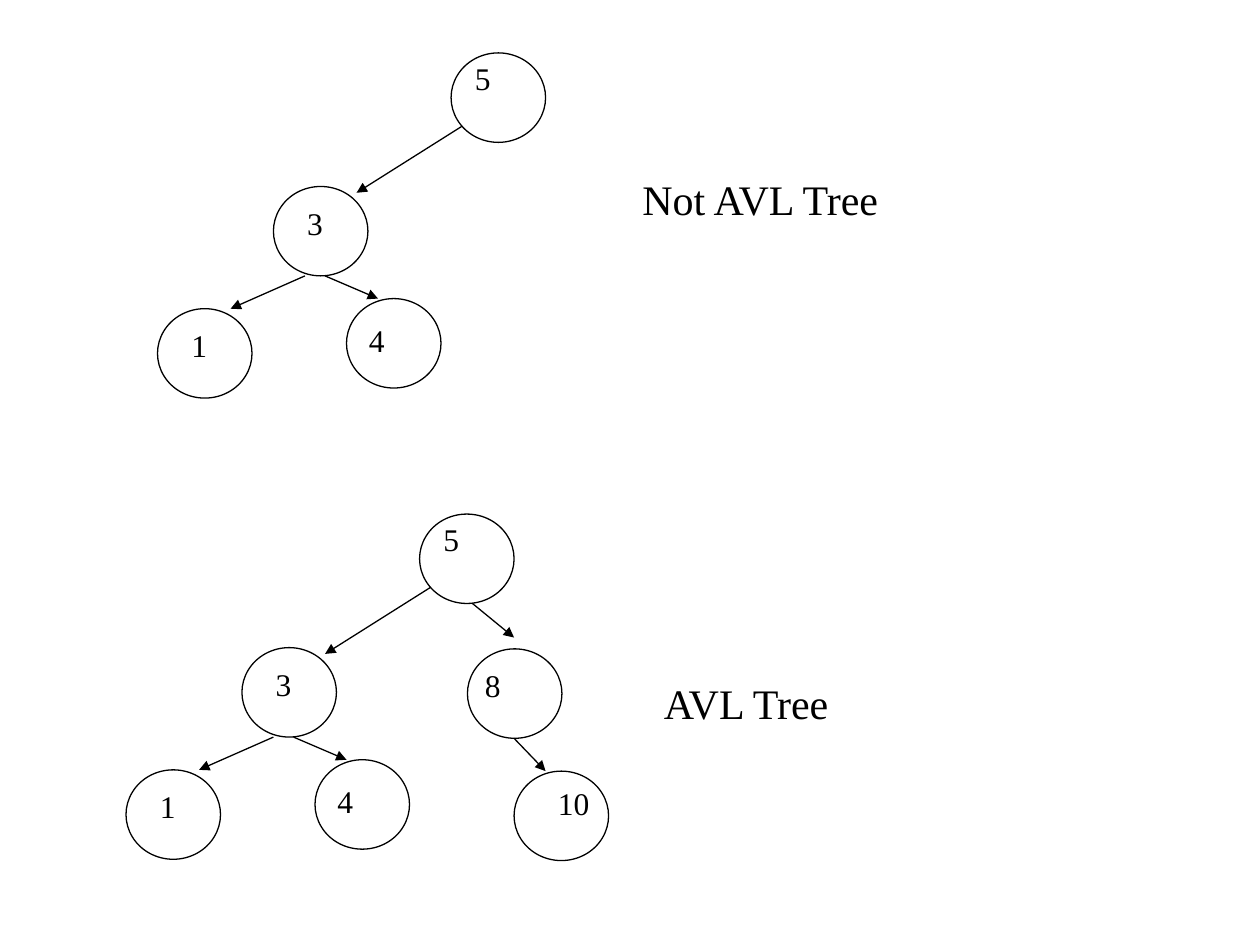
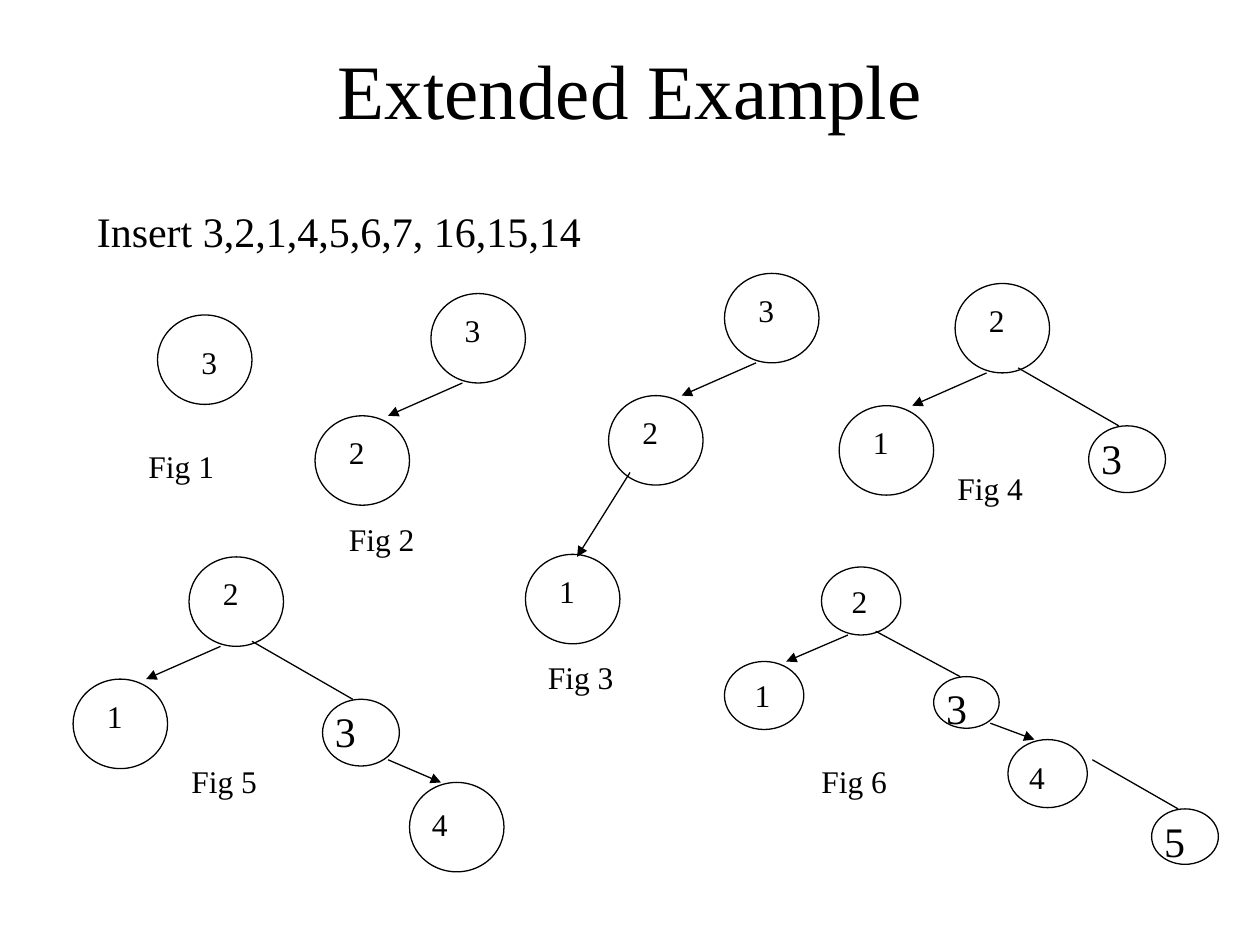
from dataclasses import dataclass, replace

from lxml.etree import SubElement
from pptx import Presentation
from pptx.dml.color import RGBColor
from pptx.enum.shapes import MSO_CONNECTOR as Connector, MSO_SHAPE as Preset
from pptx.enum.text import MSO_ANCHOR as Anchor, MSO_AUTO_SIZE as AutoSize, PP_ALIGN as Align
from pptx.oxml.ns import qn
from pptx.util import Inches, Pt

FONT = "Times New Roman"
INK = "000000"
PAPER = "FFFFFF"
LINE_WIDTH = 0.75
NODE_SIZE = 18
HEADING_SIZE = 24
TITLE_SIZE = 44


@dataclass(frozen=True)
class Label:
    text: str
    left: float
    top: float
    width: float
    size: int = NODE_SIZE


@dataclass(frozen=True)
class Node:
    text: str
    left: float
    top: float
    label_left: float = 0.17
    label_top: float = 0.09
    label_width: float = 1.33
    width: float = 0.75
    height: float = 0.71
    size: int = NODE_SIZE


@dataclass(frozen=True)
class Edge:
    start_x: float
    start_y: float
    end_x: float
    end_y: float
    arrow: bool = True


@dataclass(frozen=True)
class Tree:
    nodes: tuple[Node, ...]
    edges: tuple[Edge, ...] = ()
    captions: tuple[Label, ...] = ()

    def __add__(self, other: "Tree") -> "Tree":
        return Tree(self.nodes + other.nodes, self.edges + other.edges,
                    self.captions + other.captions)

    def moved(self, right: float, down: float) -> "Tree":
        nodes = tuple(replace(node, left=node.left + right, top=node.top + down)
                      for node in self.nodes)
        edges = tuple(Edge(edge.start_x + right, edge.start_y + down,
                           edge.end_x + right, edge.end_y + down, edge.arrow)
                      for edge in self.edges)
        return Tree(nodes, edges, self.captions)

    def captioned(self, text: str, left: float, top: float, width: float = 1.25) -> "Tree":
        return replace(self, captions=(Label(text, left, top, width),))


def color(value: str) -> RGBColor:
    return RGBColor.from_string(value)


def add_run(paragraph, text: str, size: int) -> None:
    run = paragraph.add_run()
    run.text = text
    run.font.name = FONT
    run.font.size = Pt(size)
    run.font.color.rgb = color(INK)


def draw_label(shapes, label: Label) -> None:
    height = 0.5 if label.size == HEADING_SIZE else 0.4
    box = shapes.add_textbox(Inches(label.left), Inches(label.top),
                             Inches(label.width), Inches(height))
    frame = box.text_frame
    frame.word_wrap = True
    frame.auto_size = AutoSize.SHAPE_TO_FIT_TEXT
    add_run(frame.paragraphs[0], label.text, label.size)


def draw_node(shapes, node: Node) -> None:
    circle = shapes.add_shape(Preset.OVAL, Inches(node.left), Inches(node.top),
                              Inches(node.width), Inches(node.height))
    circle.shadow.inherit = False
    circle.fill.background()
    circle.line.color.rgb = color(INK)
    circle.line.width = Pt(LINE_WIDTH)
    draw_label(shapes, Label(node.text, node.left + node.label_left,
                             node.top + node.label_top, node.label_width, node.size))


def draw_edge(shapes, edge: Edge) -> None:
    connector = shapes.add_connector(Connector.STRAIGHT,
                                     Inches(edge.start_x), Inches(edge.start_y),
                                     Inches(edge.end_x), Inches(edge.end_y))
    connector.line.color.rgb = color(INK)
    connector.line.width = Pt(LINE_WIDTH)
    properties = connector.element.spPr
    if edge.arrow:
        SubElement(properties.find(qn("a:ln")), qn("a:tailEnd"), type="triangle")
    SubElement(properties, qn("a:effectLst"))


def draw_tree(slide, tree: Tree) -> None:
    shapes = slide.shapes.add_group_shape().shapes
    for node in tree.nodes:
        draw_node(shapes, node)
    for edge in tree.edges:
        draw_edge(shapes, edge)
    for caption in tree.captions:
        draw_label(shapes, caption)


def add_slide(presentation, layout_index: int):
    slide = presentation.slides.add_slide(presentation.slide_layouts[layout_index])
    slide.background.fill.solid()
    slide.background.fill.fore_color.rgb = color(PAPER)
    return slide


def left_pair(root: str, child: str) -> Tree:
    return Tree((Node(root, 0, 0), Node(child, -0.92, 0.97, label_width=0.83)),
                (Edge(0.25, 0.71, -0.34, 0.97),))


def node_four(left: float, top: float) -> Node:
    return Node("4", left, top, 0.08, 0.13, 1)


def large_digit(text: str, left: float, top: float, width: float, height: float) -> Node:
    return Node(text, left, top, 0, 0, width, width, height, HEADING_SIZE)


def small_node(text: str, left: float, top: float, label_width: float,
               label_left: float = 0.14, label_top: float = 0.07) -> Node:
    return Node(text, left, top, label_left, label_top, label_width, 0.63, 0.54)


def build_comparison(presentation) -> None:
    slide = add_slide(presentation, 6)
    unbalanced = left_pair("3", "1").moved(2.17, 1.48) + Tree(
        (Node("5", 3.58, 0.42, 0.09, 0), node_four(2.75, 2.37)),
        (Edge(3.67, 1, 2.83, 1.53), Edge(2.58, 2.19, 3, 2.37)))
    right_branch = Tree(
        (Node("8", 3.71, 5.15, 0.04), Node("10", 4.08, 6.12, 0.25, 0.05, 0.92)),
        (Edge(3.75, 4.79, 4.08, 5.06), Edge(4.08, 5.86, 4.33, 6.12)))
    draw_tree(slide, unbalanced)
    draw_tree(slide, unbalanced.moved(-0.25, 3.66) + right_branch)
    draw_label(slide.shapes, Label("Not AVL Tree", 5, 1.33, 4.08, HEADING_SIZE))
    draw_label(slide.shapes, Label("AVL Tree", 5.17, 5.33, 4.08, HEADING_SIZE))


def build_insertion(presentation) -> None:
    slide = add_slide(presentation, 5)
    title = slide.shapes.title
    title.left, title.top = Inches(0.75), Inches(0.08)
    title.width, title.height = Inches(8.5), Inches(1.25)
    title.text_frame.vertical_anchor = Anchor.MIDDLE
    heading = title.text_frame.paragraphs[0]
    heading.alignment = Align.CENTER
    add_run(heading, "Extended Example", TITLE_SIZE)
    draw_label(slide.shapes, Label("Insert 3,2,1,4,5,6,7, 16,15,14",
                                   0.67, 1.58, 7.08, HEADING_SIZE))

    three_and_two = left_pair("3", "2")
    balanced = left_pair("2", "1") + Tree(
        (large_digit("3", 1.06, 1.13, 0.61, 0.53),),
        (Edge(0.5, 0.67, 1.3, 1.13, arrow=False),))
    figures = (
        Tree((Node("3", 1.25, 2.5, 0.25, 0.17),)).captioned("Fig 1", 1.08, 3.5, 1),
        three_and_two.moved(3.42, 2.33).captioned("Fig 2", 2.67, 4.08),
        (three_and_two.moved(5.75, 2.17)
         + Tree((Node("1", 4.17, 4.4),), (Edge(5, 3.75, 4.58, 4.42),))
         ).captioned("Fig 3", 4.25, 5.17),
        balanced.moved(7.58, 2.25).captioned("Fig 4", 7.5, 3.67),
        (balanced.moved(1.5, 4.42)
         + Tree((node_four(3.25, 6.21),), (Edge(3.08, 6.03, 3.5, 6.21),))
         ).captioned("Fig 5", 1.42, 6),
        Tree(
            (small_node("2", 6.52, 4.5, 1.12),
             small_node("1", 5.75, 5.25, 0.7),
             large_digit("3", 7.41, 5.37, 0.52, 0.41),
             small_node("4", 8, 5.87, 0.84, 0.07, 0.1),
             large_digit("5", 9.14, 6.42, 0.53, 0.44)),
            (Edge(6.73, 5.04, 6.24, 5.25),
             Edge(6.95, 5.01, 7.62, 5.37, arrow=False),
             Edge(7.86, 5.74, 8.21, 5.87),
             Edge(8.67, 6.03, 9.35, 6.42, arrow=False)),
        ).captioned("Fig 6", 6.42, 6),
    )
    for figure in figures:
        draw_tree(slide, figure)


def main() -> None:
    presentation = Presentation()
    presentation.slide_width = Inches(10)
    presentation.slide_height = Inches(7.5)
    build_comparison(presentation)
    build_insertion(presentation)
    presentation.save("out.pptx")


if __name__ == "__main__":
    main()
